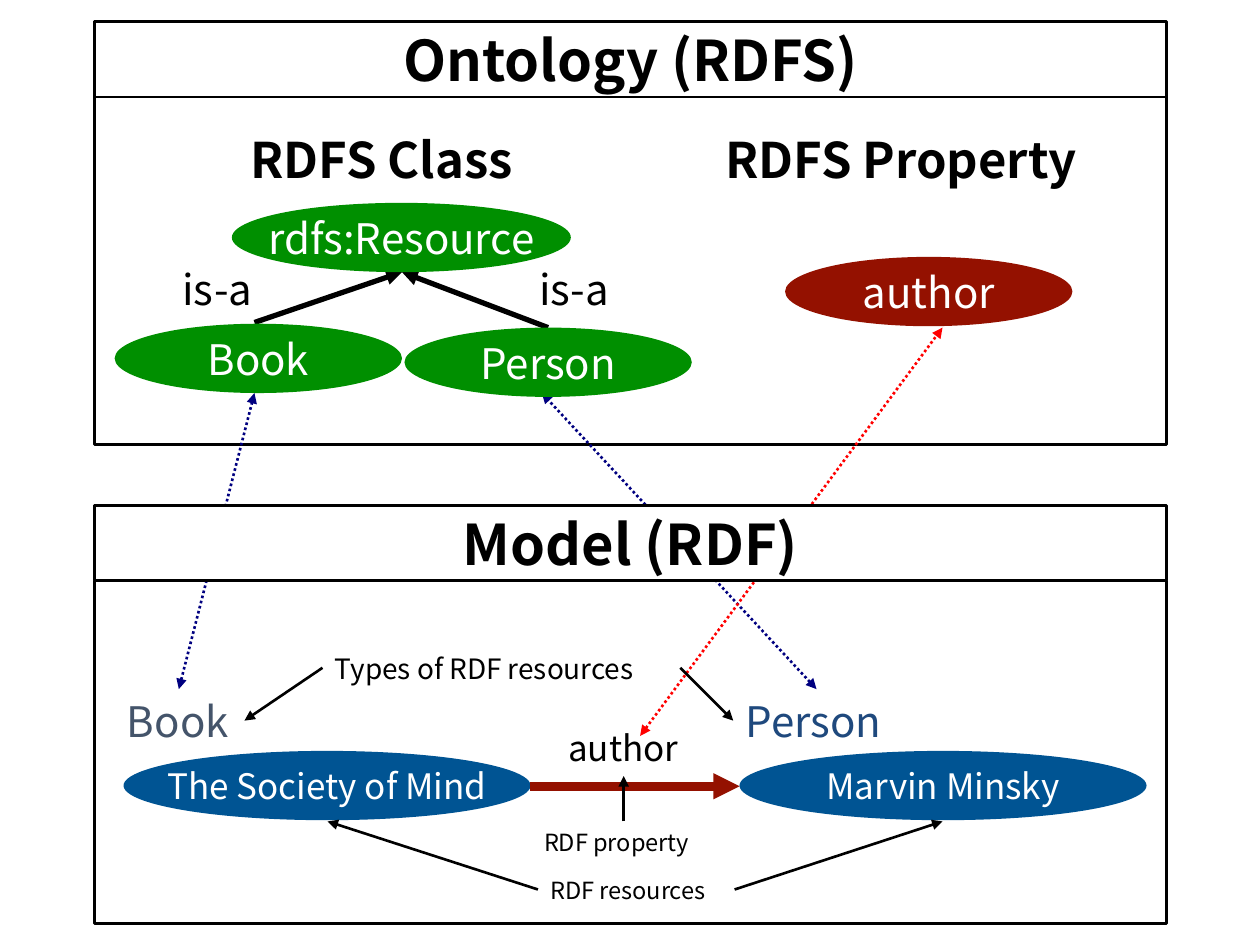
import lxml.etree
import pptx
import pptx.dml.color
import pptx.enum.dml
import pptx.enum.shapes
import pptx.enum.text
import pptx.oxml.ns
import pptx.util

Pt = pptx.util.Pt
RGB = pptx.dml.color.RGBColor
SHAPE = pptx.enum.shapes.MSO_SHAPE
ALIGN = pptx.enum.text.PP_ALIGN
ANCHOR = pptx.enum.text.MSO_ANCHOR
qn = pptx.oxml.ns.qn

FONT = "Noto Sans CJK JP"
BLACK = RGB(0x00, 0x00, 0x00)
WHITE = RGB(0xFF, 0xFF, 0xFF)
GREEN = RGB(0x00, 0x8F, 0x00)
MAROON = RGB(0x94, 0x11, 0x00)
BLUE = RGB(0x00, 0x54, 0x93)
NAVY = RGB(0x00, 0x00, 0x80)
RED = RGB(0xFF, 0x00, 0x00)
SLATE = RGB(0x44, 0x54, 0x6A)
STEEL = RGB(0x1F, 0x49, 0x7D)

ONTOLOGY_BOX = (54, 12.2, 612.7, 242)
MODEL_BOX = (54, 288.7, 612.7, 239)
HEADER_H = 43.2
NODE_H = 39.6


def write(sp, text, size, color, bold=False, align=ALIGN.CENTER, anchor=ANCHOR.MIDDLE):
    """Put one unwrapped line of text in a shape."""
    tf = sp.text_frame
    tf.word_wrap = False
    tf.auto_size = pptx.enum.text.MSO_AUTO_SIZE.NONE
    tf.vertical_anchor = anchor
    p = tf.paragraphs[0]
    p.alignment = align
    p.line_spacing = 1.0
    p.space_before = Pt(0)
    r = p.add_run()
    r.text = text
    r.font.name = FONT
    r.font.size = Pt(size)
    r.font.bold = bold
    r.font.color.rgb = color


def frame(sp):
    """Give a shape a white fill and a black outline."""
    sp.fill.solid()
    sp.fill.fore_color.rgb = WHITE
    sp.line.color.rgb = BLACK
    sp.line.width = Pt(1.5)


def rectangle(s, x, y, w, h):
    """Add a framed rectangle."""
    sp = s.shapes.add_shape(SHAPE.RECTANGLE, Pt(x), Pt(y), Pt(w), Pt(h))
    sp.shadow.inherit = False
    frame(sp)
    return sp


def node(s, x, y, w, text, fill, size=24):
    """Add a filled ellipse with a white caption."""
    sp = s.shapes.add_shape(SHAPE.OVAL, Pt(x), Pt(y), Pt(w), Pt(NODE_H))
    sp.shadow.inherit = False
    sp.fill.solid()
    sp.fill.fore_color.rgb = fill
    sp.line.fill.background()
    write(sp, text, size, WHITE)


def label(s, x, y, w, h, text, size, color=BLACK, bold=False):
    """Add a free-standing label."""
    sp = s.shapes.add_textbox(Pt(x), Pt(y), Pt(w), Pt(h))
    write(sp, text, size, color, bold, ALIGN.LEFT, ANCHOR.TOP)


def arrow(s, x1, y1, x2, y2, color=BLACK, width=1.5, dotted=False):
    """Add an arrow; a dotted one points both ways."""
    kind = pptx.enum.shapes.MSO_CONNECTOR.STRAIGHT
    c = s.shapes.add_connector(kind, Pt(x1), Pt(y1), Pt(x2), Pt(y2))
    c.line.color.rgb = color
    c.line.width = Pt(width)
    if dotted:
        c.line.dash_style = pptx.enum.dml.MSO_LINE.ROUND_DOT
    ln = c.line._get_or_add_ln()
    for end in ("a:headEnd", "a:tailEnd") if dotted else ("a:tailEnd",):
        lxml.etree.SubElement(ln, qn(end), type="triangle")
    lxml.etree.SubElement(c._element.spPr, qn("a:effectLst"))


def body(s, box):
    """Draw the area of a panel below its header."""
    x, y, w, h = box
    rectangle(s, x, y + HEADER_H, w, h - HEADER_H)


def ontology(s, box):
    """Place the title, class tree and property."""
    x, y, w, _ = box
    title = s.shapes.title
    title.left, title.top, title.width, title.height = Pt(x), Pt(y), Pt(w), Pt(HEADER_H)
    frame(title)
    write(title, "Ontology (RDFS)", 32, BLACK, True)
    for dx, dw, text in ((82.1, 173.5, "RDFS Class"), (353.5, 219.6, "RDFS Property")):
        label(s, x + dx, y + 58.3, dw, 41, text, 28, bold=True)
    for dx in (43.2, 247):
        label(s, x + dx, y + 134.6, 54.7, 36, "is-a", 24)
    for dx, dy in ((91.4, 172.1), (259.2, 175)):
        arrow(s, x + dx, y + dy, x + 175.7, y + 143.3, width=3)
    for dx, dy, dw, text, fill in (
        (394.6, 134.6, 164.2, "author", MAROON),
        (177.1, 175, 164.2, "Person", GREEN),
        (11.5, 172.8, 164.2, "Book", GREEN),
        (78.5, 103.7, 193.7, "rdfs:Resource", GREEN),
    ):
        node(s, x + dx, y + dy, dw, text, fill)


def model(s, box):
    """Place the header, resources, property and their notes."""
    x, y, w, _ = box
    write(rectangle(s, x, y, w, HEADER_H), "Model (RDF)", 32, BLACK, True)
    for dx, text in ((16.6, "The Society of Mind"), (368.6, "Marvin Minsky")):
        node(s, x + dx, y + 140.4, 232.6, text, BLUE, 20)
    arrow(s, x + 249.1, y + 160.6, x + 368.6, y + 160.6, MAROON, 5)
    for dx, dy, dw, dh, text, size, color in (
        (11.5, 105.1, 74.9, 36, "Book", 24, SLATE),
        (365, 105.1, 96.5, 36, "Person", 24, STEEL),
        (263.5, 123.1, 78.5, 31.7, "author", 20, BLACK),
        (130.3, 79.9, 204.5, 26.6, "Types of RDF resources", 16, BLACK),
        (253.4, 208.1, 112.3, 23.8, "RDF resources", 13.5, BLACK),
        (249.8, 180.7, 104.4, 23.8, "RDF property", 13.5, BLACK),
    ):
        label(s, x + dx, y + dy, dw, dh, text, size, color)
    for x1, y1, x2, y2 in (
        (130.3, 92.9, 85.7, 123.1),
        (334.8, 92.9, 365, 123.1),
        (253.4, 219.6, 133.2, 180.7),
        (365.8, 219.6, 484.6, 180.7),
        (302.4, 180.7, 302.4, 154.8),
    ):
        arrow(s, x + x1, y + y1, x + x2, y + y2)


def type_links(s, lower, upper):
    """Link each model item to its ontology type."""
    for x1, y1, x2, y2, color in (
        (48.2, 105.1, 91.4, 212.4, NAVY),
        (412.6, 105.1, 255.6, 212.4, NAVY),
        (311.8, 131.8, 484.6, 175, RED),
    ):
        arrow(s, lower[0] + x1, lower[1] + y1, upper[0] + x2, upper[1] + y2,
              color, dotted=True)


def main():
    """Build and save the slide."""
    prs = pptx.Presentation()
    prs.slide_width, prs.slide_height = Pt(720), Pt(540)
    s = prs.slides.add_slide(prs.slide_layouts[5])
    for box in (ONTOLOGY_BOX, MODEL_BOX):
        body(s, box)
    type_links(s, MODEL_BOX, ONTOLOGY_BOX)
    ontology(s, ONTOLOGY_BOX)
    model(s, MODEL_BOX)
    prs.save("out.pptx")


if __name__ == "__main__":
    main()
